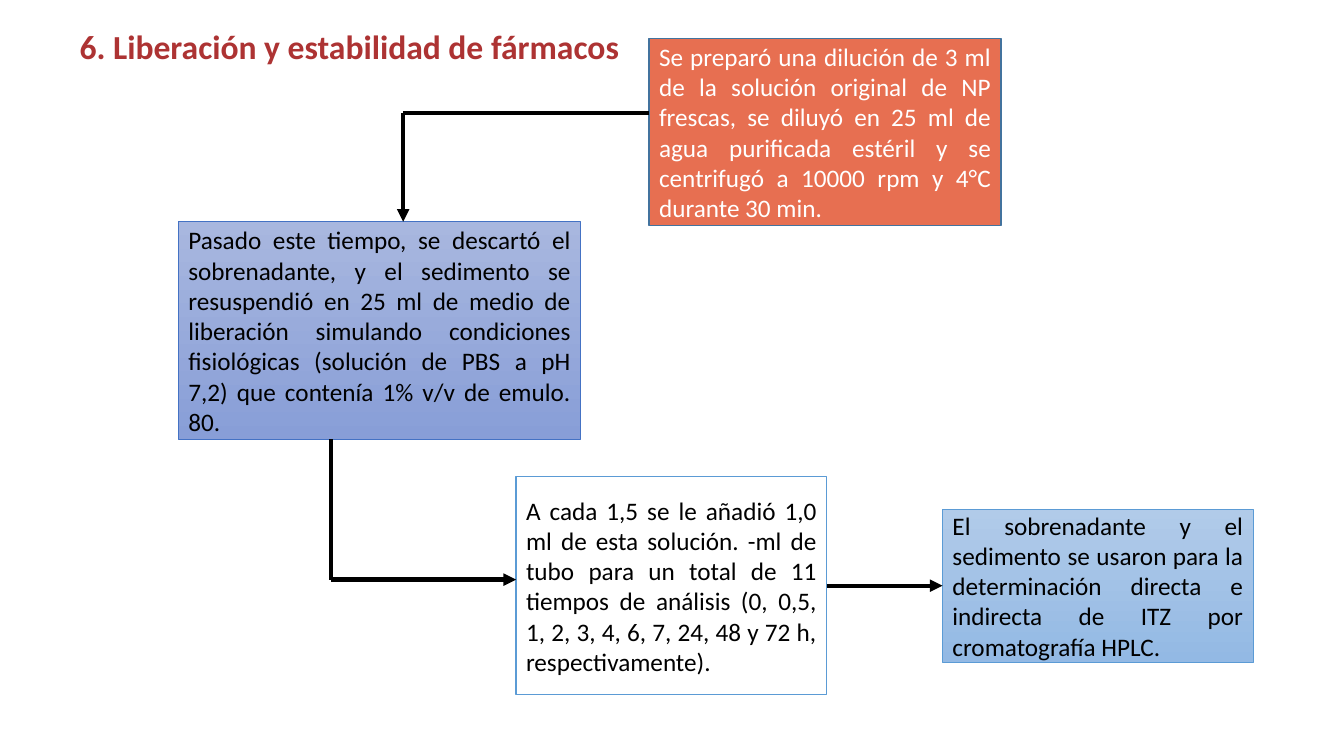
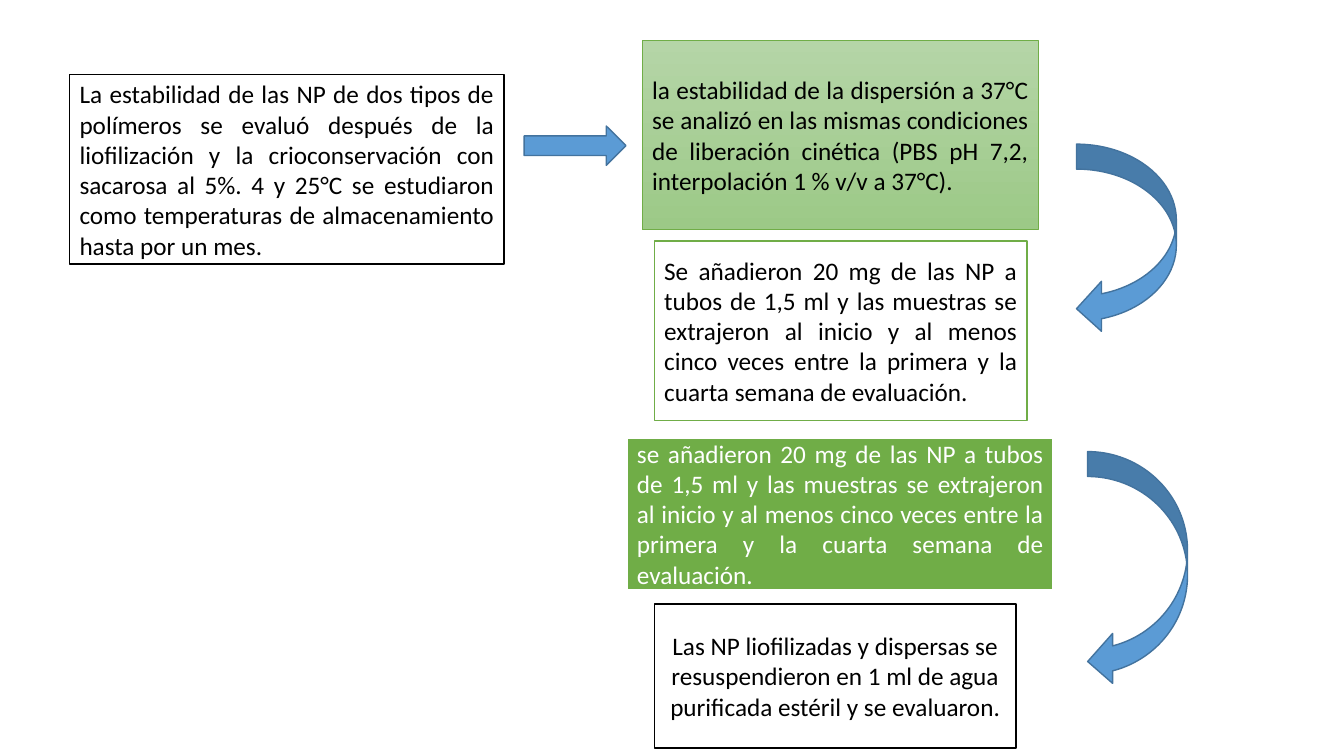
import pptx
import pptx.dml.color
import pptx.enum.shapes
import pptx.enum.text
import pptx.oxml.ns
import pptx.util
from lxml import etree

Align = pptx.enum.text.PP_ALIGN
Anchor = pptx.enum.text.MSO_ANCHOR
Kind = pptx.enum.shapes.MSO_SHAPE
Color = pptx.dml.color.RGBColor.from_string


class Theme:
    font = "Calibri"
    title_size, body_size = 24, 18
    title, black, white = "AD3333", "000000", "FFFFFF"
    connector_width = 3
    # style: (fill colours from top to bottom, line colour, line width, text colour)
    styles = {
        "orange": (["E76F51"], "43739E", 1, white),
        "indigo": (["A8B7DF", "889ED7"], "4472C4", 0.5, black),
        "sky": (["B1CBE9", "93B9E4"], "5B9BD5", 0.5, black),
        "sky outline": ([white], "5B9BD5", 1, black),
        "leaf": (["B5D5A7", "9CC987"], "70AD47", 0.5, black),
        "leaf outline": ([white], "70AD47", 1, black),
        "green": (["70AD47"], white, 1.5, white),
        "black outline": ([white], black, 1, black),
        "arrow": (["5B9BD5"], "43739E", 1, white),
    }


presentation = pptx.Presentation()
presentation.slide_width = pptx.util.Inches(13.33)
presentation.slide_height = pptx.util.Inches(7.5)


def share(*percents):
    """Turn alternating x, y percentages of the slide's size into lengths."""
    sizes = (presentation.slide_width, presentation.slide_height)
    return [int(sizes[i % 2] * percent / 100) for i, percent in enumerate(percents)]


def write(shape, text, size, color, align, anchor, bold=False):
    frame = shape.text_frame
    paragraph = frame.paragraphs[0]
    run = paragraph.add_run()
    run.text = text
    run.font.color.rgb = Color(color)
    formats = [
        (frame, {"word_wrap": True, "vertical_anchor": anchor}),
        (paragraph, {"alignment": align}),
        (run.font, {"name": Theme.font, "size": pptx.util.Pt(size), "bold": bold}),
    ]
    for target, values in formats:
        for name, value in values.items():
            setattr(target, name, value)


# Each slide: title, shapes (kind, style, place, text, alignment), connector routes.
# Places and route points are percentages of the slide's width and height.
slides = [
    {
        "title": "6. Liberación y estabilidad de fármacos",
        "shapes": [
            (Kind.RECTANGLE, "orange", (48.3, 5.07, 26.18, 24.8),
             "Se preparó una dilución de 3 ml de la solución original de NP frescas, "
             "se diluyó en 25 ml de agua purificada estéril y se centrifugó a 10000 rpm "
             "y 4°C durante 30 min.", Align.JUSTIFY),
            (Kind.RECTANGLE, "indigo", (13.28, 29.33, 29.93, 28.8),
             "Pasado este tiempo, se descartó el sobrenadante, y el sedimento se "
             "resuspendió en 25 ml de medio de liberación simulando condiciones "
             "fisiológicas (solución de PBS a pH 7,2) que contenía 1% v/v de emulo. 80.",
             Align.JUSTIFY),
            (Kind.RECTANGLE, "sky outline", (38.4, 63.07, 23.1, 28.8),
             "A cada 1,5 se le añadió 1,0 ml de esta solución. -ml de tubo para un total "
             "de 11 tiempos de análisis (0, 0,5, 1, 2, 3, 4, 6, 7, 24, 48 y 72 h, "
             "respectivamente).", Align.JUSTIFY),
            (Kind.RECTANGLE, "sky", (70.13, 67.33, 23.1, 20.27),
             "El sobrenadante y el sedimento se usaron para la determinación directa e "
             "indirecta de ITZ por cromatografía HPLC.", Align.JUSTIFY),
        ],
        "routes": [
            [(48.3, 14.93), (30, 14.93), (30, 29.33)],
            [(24.6, 58.13), (24.6, 76.67), (38.4, 76.67)],
            [(61.5, 77.47), (70.13, 77.47)],
        ],
    },
    {
        "title": "",
        "shapes": [
            (Kind.RECTANGLE, "black outline", (5.18, 9.87, 32.33, 25.07),
             "La estabilidad de las NP de dos tipos de polímeros se evaluó después de la "
             "liofilización y la crioconservación con sacarosa al 5%. 4 y 25°C se "
             "estudiaron como temperaturas de almacenamiento hasta por un mes.",
             Align.JUSTIFY),
            (Kind.RECTANGLE, "leaf", (47.78, 5.33, 29.48, 25.07),
             "la estabilidad de la dispersión a 37°C se analizó en las mismas condiciones "
             "de liberación cinética (PBS pH 7,2, interpolación 1 % v/v a 37°C).",
             Align.JUSTIFY),
            (Kind.RECTANGLE, "leaf outline", (48.68, 31.87, 27.75, 23.73),
             "Se añadieron 20 mg de las NP a tubos de 1,5 ml y las muestras se extrajeron "
             "al inicio y al menos cinco veces entre la primera y la cuarta semana de "
             "evaluación.", Align.JUSTIFY),
            (Kind.RECTANGLE, "green", (46.65, 57.87, 31.73, 20.13),
             "se añadieron 20 mg de las NP a tubos de 1,5 ml y las muestras se extrajeron "
             "al inicio y al menos cinco veces entre la primera y la cuarta semana de "
             "evaluación.", Align.JUSTIFY),
            (Kind.RECTANGLE, "black outline", (48.68, 79.87, 26.93, 19.07),
             "Las NP liofilizadas y dispersas se resuspendieron en 1 ml de agua "
             "purificada estéril y se evaluaron.", Align.CENTER),
            (Kind.RIGHT_ARROW, "arrow", (39, 16.67, 7.58, 5.2), "", None),
            (Kind.CURVED_LEFT_ARROW, "arrow", (80.1, 19.07, 7.43, 25.07), "", None),
            (Kind.CURVED_LEFT_ARROW, "arrow", (80.93, 59.73, 7.43, 31.07), "", None),
        ],
        "routes": [],
    },
]

for content in slides:
    slide = presentation.slides.add_slide(presentation.slide_layouts[6])

    if content["title"]:
        title = slide.shapes.add_textbox(*share(5.18, 3.33, 86.25, 14.4))
        write(title, content["title"], Theme.title_size, Theme.title,
              Align.LEFT, Anchor.TOP, bold=True)
        title.text_frame.paragraphs[0].line_spacing = 0.9

    for kind, style, place, text, align in content["shapes"]:
        fill_colors, line_color, line_width, text_color = Theme.styles[style]
        shape = slide.shapes.add_shape(kind, *share(*place))
        shape.shadow.inherit = False
        shape.line.color.rgb = Color(line_color)
        shape.line.width = pptx.util.Pt(line_width)
        if len(fill_colors) == 1:
            shape.fill.solid()
            shape.fill.fore_color.rgb = Color(fill_colors[0])
        else:
            shape.fill.gradient()
            shape.fill.gradient_angle = 270
            for stop, color in zip(shape.fill.gradient_stops, fill_colors):
                stop.color.rgb = Color(color)
        if text:
            write(shape, text, Theme.body_size, text_color, align, Anchor.MIDDLE)

    for route in content["routes"]:
        for start, end in zip(route, route[1:]):
            connector = slide.shapes.add_connector(
                pptx.enum.shapes.MSO_CONNECTOR.STRAIGHT, *share(*start, *end))
            connector.line.color.rgb = Color(Theme.black)
            connector.line.width = pptx.util.Pt(Theme.connector_width)
            if end == route[-1]:
                etree.SubElement(connector.line._get_or_add_ln(),
                                 pptx.oxml.ns.qn("a:tailEnd"), type="triangle")
            etree.SubElement(connector._element.spPr, pptx.oxml.ns.qn("a:effectLst"))

presentation.save("out.pptx")
